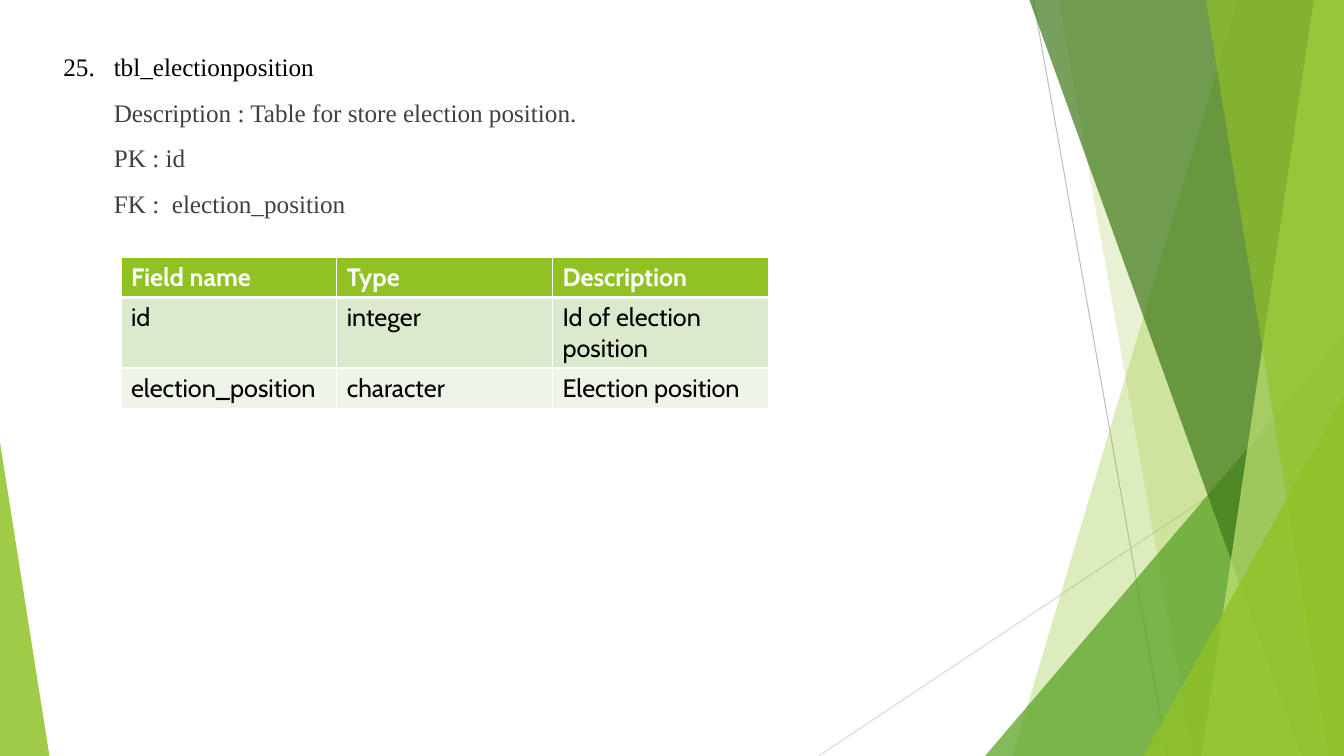
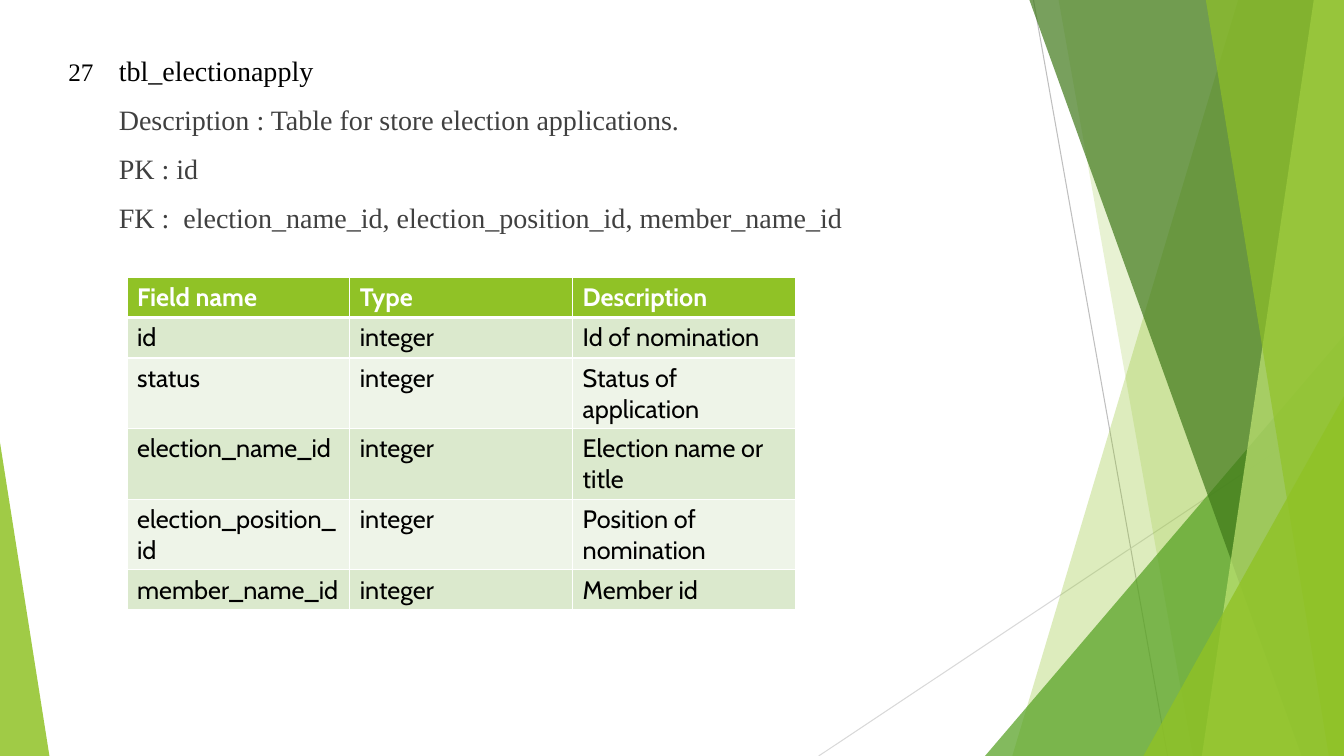
import pptx
import pptx.dml.color
import pptx.enum.shapes
import pptx.enum.text
import pptx.oxml
import pptx.oxml.ns
import pptx.util

SCALE = 9144
PAGE_WIDTH, PAGE_HEIGHT = 1333, 750
INDENT = 50
SERIF, SANS = "Times New Roman", "Cabin"
BLACK, WHITE, GREY = "000000", "FFFFFF", "404040"
LIME, GREEN, FOREST, PALE = "90C226", "54A021", "3F7819", "C0E474"
BAND_FILLS = ["DBE9CD", "EEF4E8"]
HEADINGS = ["Field name", "Type", "Description"]
ONE_LINE, TWO_LINES = 40, 70

RAYS = [
    ((1025, 0), (1158, 750), "BFBFBF"),
    ((1333, 403), (812, 750), "D9D9D9"),
]
VEILS = [
    ("band", (1228, 1004), LIME, 30),
    ("band", (1050, 1183), LIME, 20),
    ("triangle", (977, 333, 356, 417, 1), GREEN, 72),
    ("band", (1021, 1291), FOREST, 70),
    ("band", (1303, 1192), PALE, 70),
    ("band", (1196, 1318), LIME, 65),
    ("triangle", (1134, 393, 199, 357, 1), LIME, 80),
    ("triangle", (0, 439, 49, 311, 0), LIME, 85),
]


def px(length):
    return pptx.util.Emu(length * SCALE)


def color(hex_code):
    return pptx.dml.color.RGBColor.from_string(hex_code)


def element(parent, tag, **attributes):
    child = pptx.oxml.parse_xml(f"<a:{tag} {pptx.oxml.ns.nsdecls('a')}/>")
    for name, value in attributes.items():
        child.set(name, str(value))
    parent.append(child)
    return child


def paint(shape, hex_code, opacity):
    shape.shadow.inherit = False
    shape.line.fill.background()
    shape.fill.solid()
    shape.fill.fore_color.rgb = color(hex_code)
    tint = shape.fill._xPr.find(".//" + pptx.oxml.ns.qn("a:srgbClr"))
    element(tint, "alpha", val=opacity * 1000)


def add_ray(page, start, end, hex_code):
    ray = page.shapes.add_connector(
        pptx.enum.shapes.MSO_CONNECTOR.STRAIGHT, *map(px, start + end))
    ray.line.color.rgb = color(hex_code)
    ray.line.width = pptx.util.Pt(0.75)
    element(ray._element.spPr, "effectLst")


def add_band(page, top_x, bottom_x):
    outline = page.shapes.build_freeform(top_x, 0, scale=SCALE)
    outline.add_line_segments(
        [(PAGE_WIDTH, 0), (PAGE_WIDTH, PAGE_HEIGHT), (bottom_x, PAGE_HEIGHT)])
    return outline.convert_to_shape()


def add_triangle(page, left, top, width, height, apex):
    triangle = page.shapes.add_shape(
        pptx.enum.shapes.MSO_SHAPE.ISOSCELES_TRIANGLE,
        *map(px, (left, top, width, height)))
    triangle.adjustments[0] = apex
    return triangle


def add_backdrop(page):
    for start, end, hex_code in RAYS:
        add_ray(page, start, end, hex_code)
    makers = {"band": add_band, "triangle": add_triangle}
    for kind, geometry, hex_code, opacity in VEILS:
        paint(makers[kind](page, *geometry), hex_code, opacity)


def add_span(para, text, font, size, hex_code, bold=False):
    span = para.add_run()
    span.text = text
    span.font.name = font
    span.font.size = pptx.util.Pt(size)
    span.font.bold = bold
    span.font.color.rgb = color(hex_code)


def add_summary(page, place, number, name, details, size):
    box = page.shapes.add_textbox(*map(px, place))
    frame = box.text_frame
    frame.word_wrap = True
    para = frame.paragraphs[0]
    add_span(para, number + "\t", SERIF, 18, BLACK)
    add_span(para, name, SERIF, size, BLACK)
    for detail in details:
        para = frame.add_paragraph()
        para.space_before = pptx.util.Pt(11)
        add_span(para, detail, SERIF, size, GREY)
    for index, para in enumerate(frame.paragraphs):
        properties = para._p.get_or_add_pPr()
        properties.set("marL", str(px(INDENT)))
        properties.set("indent", str(px(0 if index else -INDENT)))


def add_borders(cell, top, bottom):
    properties = cell._tc.get_or_add_tcPr()
    for side, points in (("L", 1), ("R", 1), ("T", top), ("B", bottom)):
        border = element(properties, "ln" + side, w=pptx.util.Pt(points))
        element(element(border, "solidFill"), "srgbClr", val=WHITE)


def add_field_table(page, left, top, column_width, fields, heights):
    rows = [HEADINGS] + fields
    frame = page.shapes.add_table(
        len(rows), len(HEADINGS), px(left), px(top),
        px(column_width * len(HEADINGS)), px(sum(heights)))
    table = frame.table
    table.horz_banding = False
    for column in table.columns:
        column.width = px(column_width)
    for index, (texts, height) in enumerate(zip(rows, heights)):
        is_header = index == 0
        table.rows[index].height = px(height)
        for cell, text in zip(table.rows[index].cells, texts):
            add_borders(cell, 3 if index == 1 else 1, 3 if is_header else 1)
            cell.fill.solid()
            cell.fill.fore_color.rgb = color(
                LIME if is_header else BAND_FILLS[(index - 1) % 2])
            add_span(cell.text_frame.paragraphs[0], text, SANS, 18,
                     WHITE if is_header else BLACK, is_header)


def add_page(deck):
    page = deck.slides.add_slide(deck.slide_layouts[6])
    add_backdrop(page)
    return page


def add_position_page(deck):
    page = add_page(deck)
    add_summary(page, (53, 46, 961, 616), "25.", "tbl_electionposition", [
        "Description : Table for store election position.",
        "PK : id",
        "FK :  election_position",
    ], 18)
    add_field_table(page, 120, 255, 214, [
        ["id", "integer", "Id of election position"],
        ["election_position", "character", "Election position"],
    ], [ONE_LINE, TWO_LINES, ONE_LINE])


def add_application_page(deck):
    page = add_page(deck)
    add_summary(page, (58, 48, 956, 614), "27", "tbl_electionapply", [
        "Description : Table for store election applications.",
        "PK : id",
        "FK :  election_name_id, election_position_id, member_name_id",
    ], 20)
    add_field_table(page, 126, 275, 221, [
        ["id", "integer", "Id of nomination"],
        ["status", "integer", "Status of application"],
        ["election_name_id", "integer", "Election name or title"],
        ["election_position_id", "integer", "Position of nomination"],
        ["member_name_id", "integer", "Member id"],
    ], [ONE_LINE] * 2 + [TWO_LINES] * 3 + [ONE_LINE])


def main():
    deck = pptx.Presentation()
    deck.slide_width, deck.slide_height = px(PAGE_WIDTH), px(PAGE_HEIGHT)
    add_position_page(deck)
    add_application_page(deck)
    deck.save("out.pptx")


if __name__ == "__main__":
    main()
